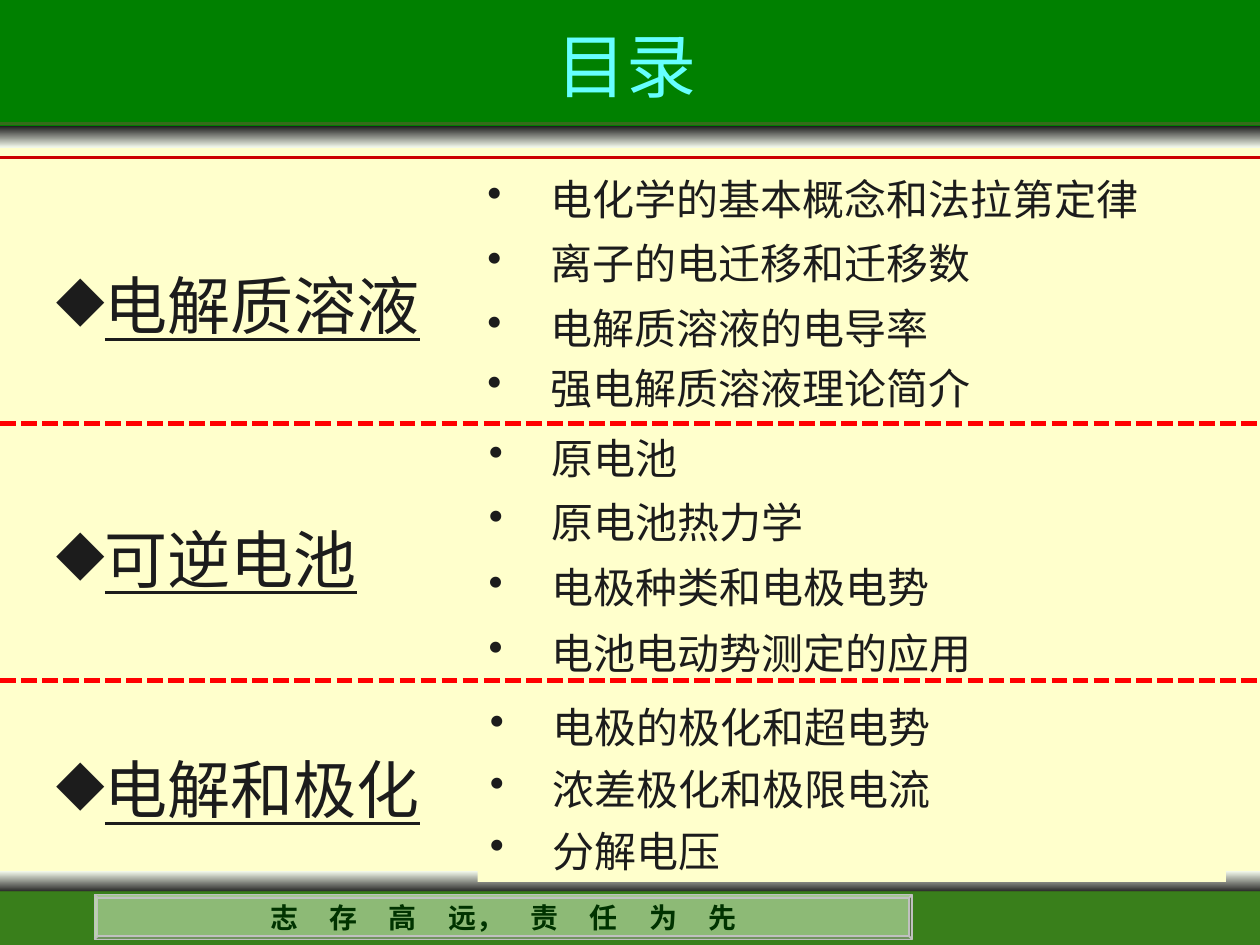
from lxml import etree
from pptx import Presentation
from pptx import util as u
from pptx.dml.color import RGBColor
from pptx.enum import dml, shapes, text
from pptx.oxml.ns import qn

WIDTH, HEIGHT = 720, 540
HEADINGS = [
    ("电解质溶液", 146.9, 587.5, "Arial"),
    ("可逆电池", 291.6, 534.2, "Arial"),
    ("电解和极化", 423.4, 486, "Times New Roman"),
]
TOPICS = [
    (271.4, [
        ("电化学的基本概念和法拉第定律", 94.3, 447.8, "Arial"),
        ("离子的电迁移和迁移数", 131, 432.7, "Arial"),
        ("电解质溶液的电导率", 167.8, 393.8, "Times New Roman"),
        ("强电解质溶液理论简介", 202.3, 427.7, "Times New Roman"),
    ]),
    (272.2, [
        ("原电池", 241.9, 447.8, "Arial"),
        ("原电池热力学", 278.6, 432.7, "Arial"),
        ("电极种类和电极电势", 316.1, 393.8, "Times New Roman"),
        ("电池电动势测定的应用", 353.5, 427.7, "Times New Roman"),
    ]),
    (272.9, [
        ("电极的极化和超电势", 396, 432.7, "Arial"),
        ("浓差极化和极限电流", 431.3, 393.8, "Arial"),
        ("分解电压", 466.6, 427.7, "Times New Roman"),
    ]),
]
MOTTO = [("志存高", 18), ("远", 0), ("，", 15), ("责任为", 18), ("先", 0)]


def color(value):
    return RGBColor.from_string(value)


def add_run(paragraph, content, size, font, ink, bold=False, underline=False, spacing=0):
    run = paragraph.add_run()
    run.text = content
    run.font.size = u.Pt(size)
    run.font.name = font
    run.font.bold = bold
    run.font.underline = underline
    run.font.color.rgb = color(ink)
    properties = run.font._element
    etree.SubElement(properties, qn("a:ea")).set("typeface", "Noto Sans CJK SC")
    if spacing:
        properties.set("spc", str(spacing * 100))


class Deck:
    paper = "FFFFCC"
    ink = "1C1C1C"
    pale = "F1F7E9"

    def __init__(self, presentation):
        self.slide = presentation.slides.add_slide(presentation.slide_layouts[6])
        fill = self.slide.background.fill
        fill.solid()
        fill.fore_color.rgb = color(self.paper)

    def box(self, left, top, width, height, fill, kind=shapes.MSO_SHAPE.RECTANGLE):
        shape = self.slide.shapes.add_shape(
            kind, u.Pt(left), u.Pt(top), u.Pt(width), u.Pt(height))
        shape.shadow.inherit = False
        shape.fill.solid()
        shape.fill.fore_color.rgb = color(fill)
        shape.line.fill.background()
        return shape

    def shade(self, top, start, end):
        shape = self.box(0, top, WIDTH, 12.2, start)
        shape.fill.gradient()
        shape.fill.gradient_angle = 270
        for stop, value in zip(shape.fill.gradient_stops, (start, end)):
            stop.color.rgb = color(value)

    def rule(self, y, ink, weight, dash=None):
        line = self.slide.shapes.add_connector(
            shapes.MSO_CONNECTOR.STRAIGHT, 0, u.Pt(y), u.Pt(WIDTH), u.Pt(y))
        line.line.color.rgb = color(ink)
        line.line.width = u.Pt(weight)
        if dash:
            line.line.dash_style = dash
        etree.SubElement(line._element.spPr, qn("a:effectLst"))

    def bullet(self, content, left, top, width, height, mark, size, font,
               indent=0, underline=False):
        frame = self.box(left, top, width, height, self.paper).text_frame
        frame.word_wrap = True
        frame.vertical_anchor = text.MSO_ANCHOR.TOP
        paragraph = frame.paragraphs[0]
        paragraph.alignment = text.PP_ALIGN.LEFT
        paragraph.line_spacing = 1.05
        properties = paragraph._p.get_or_add_pPr()
        properties.set("marL", str(u.Pt(indent)))
        properties.set("indent", str(-u.Pt(indent)))
        tint = etree.SubElement(properties, qn("a:buClr"))
        etree.SubElement(tint, qn("a:srgbClr")).set("val", self.ink)
        etree.SubElement(properties, qn("a:buChar")).set("char", mark)
        add_run(paragraph, content, size, font, self.ink, underline=underline)

    def title(self, content):
        shape = self.slide.shapes.add_textbox(u.Pt(36.7), u.Pt(16.6), u.Pt(642.2), u.Pt(41))
        frame = shape.text_frame
        frame.word_wrap = True
        frame.vertical_anchor = text.MSO_ANCHOR.MIDDLE
        paragraph = frame.paragraphs[0]
        paragraph.alignment = text.PP_ALIGN.CENTER
        add_run(paragraph, content, 40, "Noto Sans CJK SC", "66FFFF")

    def plaque(self, runs):
        shape = self.box(54, 511.2, 467.3, 25.6, "8DBA76", shapes.MSO_SHAPE.BEVEL)
        shape.adjustments[0] = 0.07
        shape.line.color.rgb = color("C0C0C0")
        shape.line.width = u.Pt(1)
        frame = shape.text_frame
        frame.word_wrap = False
        frame.margin_top = frame.margin_bottom = 0
        frame.vertical_anchor = text.MSO_ANCHOR.MIDDLE
        paragraph = frame.paragraphs[0]
        paragraph.alignment = text.PP_ALIGN.CENTER
        for content, spacing in runs:
            add_run(paragraph, content, 16, "Times New Roman", "003300",
                    bold=True, spacing=spacing)


def main():
    presentation = Presentation()
    presentation.slide_width = u.Pt(WIDTH)
    presentation.slide_height = u.Pt(HEIGHT)
    deck = Deck(presentation)

    deck.shade(498, deck.pale, deck.ink)
    deck.rule(509.8, "366B1B", 1.5)
    deck.box(0, 509.8, WIDTH, 30.2, "397F1B")
    deck.shade(72, deck.ink, deck.pale)
    deck.rule(90, "CC0000", 2.25)
    deck.box(0, 0, WIDTH, 72, "008000")
    deck.rule(70.6, "366B1B", 1.5)
    deck.plaque(MOTTO)
    deck.title("目录")

    for content, top, width, font in HEADINGS:
        deck.bullet(content, 25.2, top, width, 52.6, "◆", 36, font, underline=True)
    for left, topics in TOPICS:
        for content, top, width, font in topics:
            deck.bullet(content, left, top, width, 37.4, "•", 24, font, indent=36)
    for y in (241.9, 388.8):
        deck.rule(y, "FF0000", 3, dml.MSO_LINE.SQUARE_DOT)

    presentation.save("out.pptx")


if __name__ == "__main__":
    main()
